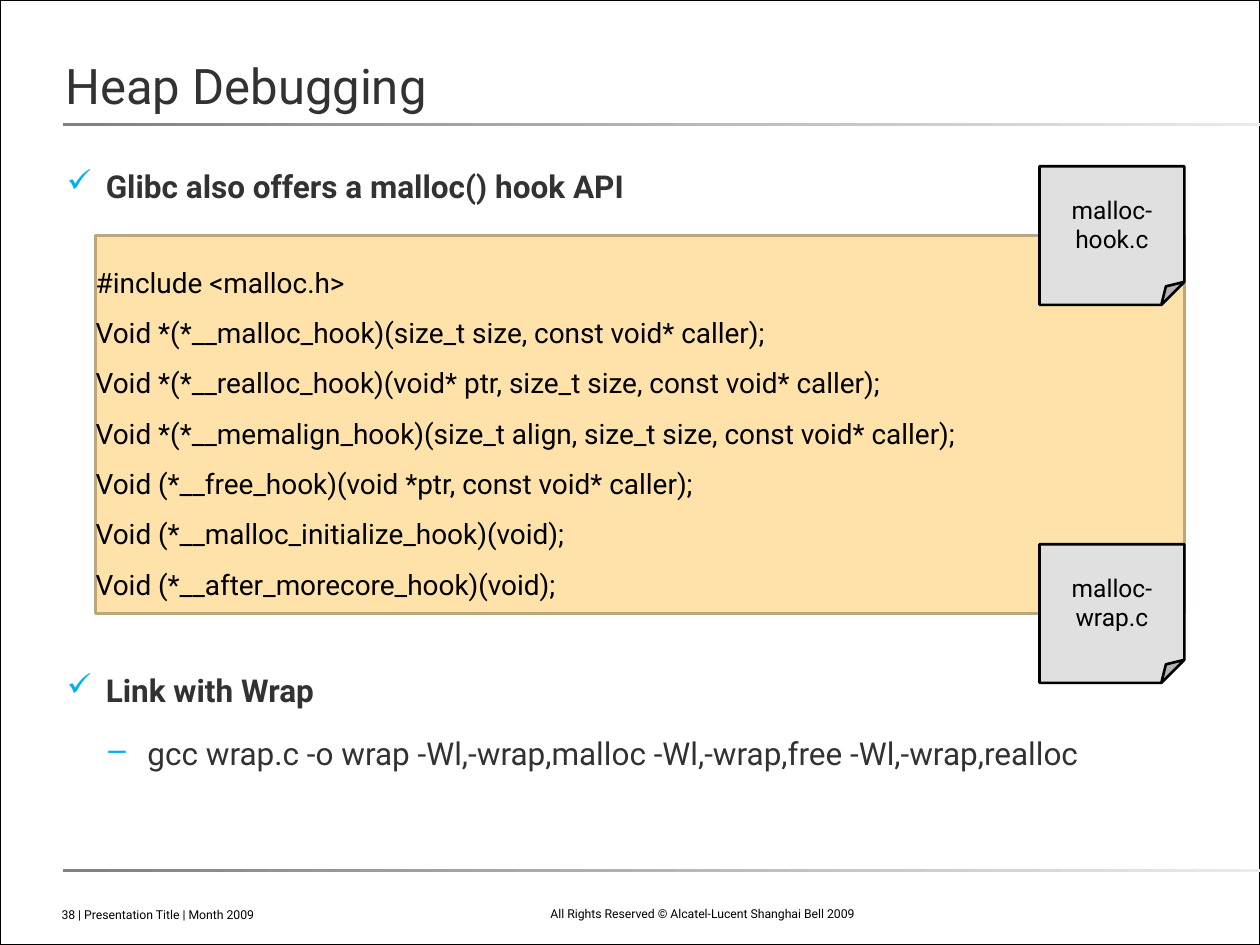
from lxml.etree import SubElement
from pptx import Presentation
from pptx.dml.color import RGBColor
from pptx.enum.shapes import MSO_SHAPE as Shape
from pptx.enum.text import MSO_ANCHOR as Anchor, PP_ALIGN as Align
from pptx.oxml.ns import qn
from pptx.util import Inches, Pt

COLORS = {
    "page": "FFFFFF", "ink": "000000", "text": "323232", "bullet": "00B0F0",
    "rule_dark": "808080", "rule_light": "EBEBEB",
    "code": "FFE2AA", "code_edge": "BCA67C", "note": "E0E0E0",
}
FONT = "Roboto"
CODE = [
    "#include <malloc.h>",
    "Void *(*__malloc_hook)(size_t size, const void* caller);",
    "Void *(*__realloc_hook)(void* ptr, size_t size, const void* caller);",
    "Void *(*__memalign_hook)(size_t align, size_t size, const void* caller);",
    "Void (*__free_hook)(void *ptr, const void* caller);",
    "Void (*__malloc_initialize_hook)(void);",
    "Void (*__after_morecore_hook)(void);",
]


def color(name):
    return RGBColor.from_string(COLORS[name])


def inches(box):
    return [Inches(length) for length in box]


def add_panel(page, box, fill=None, edge=None, weight=1, kind=Shape.RECTANGLE):
    panel = page.shapes.add_shape(kind, *inches(box))
    panel.shadow.inherit = False
    if fill:
        panel.fill.solid()
        panel.fill.fore_color.rgb = color(fill)
    else:
        panel.fill.background()
    if edge:
        panel.line.color.rgb = color(edge)
        panel.line.width = Pt(weight)
    else:
        panel.line.fill.background()
    return panel


def write(shape, lines, size, ink="ink", align=Align.LEFT, anchor=Anchor.MIDDLE,
          spacing=None, margins=(0, 0)):
    """Fill a shape with one paragraph per line and return the paragraphs."""
    frame = shape.text_frame
    frame.word_wrap = True
    frame.vertical_anchor = anchor
    frame.margin_left = frame.margin_right = Inches(margins[0])
    frame.margin_top = frame.margin_bottom = Inches(margins[1])
    frame.text = "\n".join(lines)
    for para in frame.paragraphs:
        para.alignment = align
        para.line_spacing = spacing
        para.font.name = FONT
        para.font.size = Pt(size)
        para.font.color.rgb = color(ink)
    return frame.paragraphs


def add_rule(page, box):
    rule = add_panel(page, box)
    rule.fill.gradient()
    rule.fill.gradient_angle = 0
    for stop, name in zip(rule.fill.gradient_stops, ("rule_dark", "rule_light")):
        stop.color.rgb = color(name)


def add_title(page, box, title):
    write(page.shapes.add_textbox(*inches(box)), [title], 28, "text",
          anchor=Anchor.BOTTOM, spacing=Pt(26))


def add_footer(page, box, label, align):
    write(page.shapes.add_textbox(*inches(box)), [label], 7, align=align,
          anchor=Anchor.BOTTOM, margins=(0.1, 0.05))


def set_bullet(para, mark, indent):
    props = para._p.get_or_add_pPr()
    props.set("marL", str(Inches(indent)))
    props.set("indent", str(Inches(-0.31)))
    tint = SubElement(props, qn("a:buClr"))
    SubElement(tint, qn("a:srgbClr"), val=COLORS["bullet"])
    SubElement(props, qn("a:buChar"), char=mark)


def add_bullets(page, box, heading, details=()):
    text = page.shapes.add_textbox(*inches(box))
    paras = write(text, [heading, *details], 18, "text", anchor=Anchor.TOP,
                  spacing=Pt(24))
    for index, para in enumerate(paras):
        para.space_after = Pt(12)
        para.level = min(index, 1)
        para.font.bold = index == 0
        # Bullet elements must come before the default run properties.
        props = para._p.get_or_add_pPr()
        defaults = props.find(qn("a:defRPr"))
        set_bullet(para, "–" if index else "✓", 0.64 if index else 0.31)
        props.append(defaults)


def add_code(page, box, lines):
    panel = add_panel(page, box, "code", "code_edge", 2)
    write(panel, lines, 16, spacing=1.5)


def add_file_note(page, box, lines):
    note = add_panel(page, box, "note", "ink", 1.5, Shape.FOLDED_CORNER)
    write(note, lines, 14, align=Align.CENTER)


def build_slide(deck):
    page = deck.slides.add_slide(deck.slide_layouts[6])
    page.background.fill.solid()
    page.background.fill.fore_color.rgb = color("page")
    add_panel(page, (0, 0, 10, 7.5), edge="ink")
    for top in (0.98, 6.9):
        add_rule(page, (0.5, top, 9.53, 0.02))
    add_title(page, (0.52, 0.51, 8.98, 0.4), "Heap Debugging")
    add_footer(page, (0.39, 7.14, 3.49, 0.23),
               "38 | Presentation Title | Month 2009", Align.LEFT)
    add_footer(page, (4, 7.11, 3.15, 0.25),
               "All Rights Reserved © Alcatel-Lucent Shanghai Bell 2009", Align.CENTER)
    add_bullets(page, (0.53, 1.29, 8.98, 0.5), "Glibc also offers a malloc() hook API")
    add_bullets(page, (0.53, 5.29, 8.98, 1.5), "Link with Wrap",
                ["gcc wrap.c -o wrap -Wl,-wrap,malloc -Wl,-wrap,free -Wl,-wrap,realloc"])
    add_code(page, (0.76, 1.87, 8.64, 3), CODE)
    for top, name in ((1.32, "hook.c"), (4.32, "wrap.c")):
        add_file_note(page, (8.25, top, 1.15, 1.1), ["malloc-", name])


def main():
    deck = Presentation()
    deck.slide_width, deck.slide_height = Inches(10), Inches(7.5)
    build_slide(deck)
    deck.save("out.pptx")


if __name__ == "__main__":
    main()
